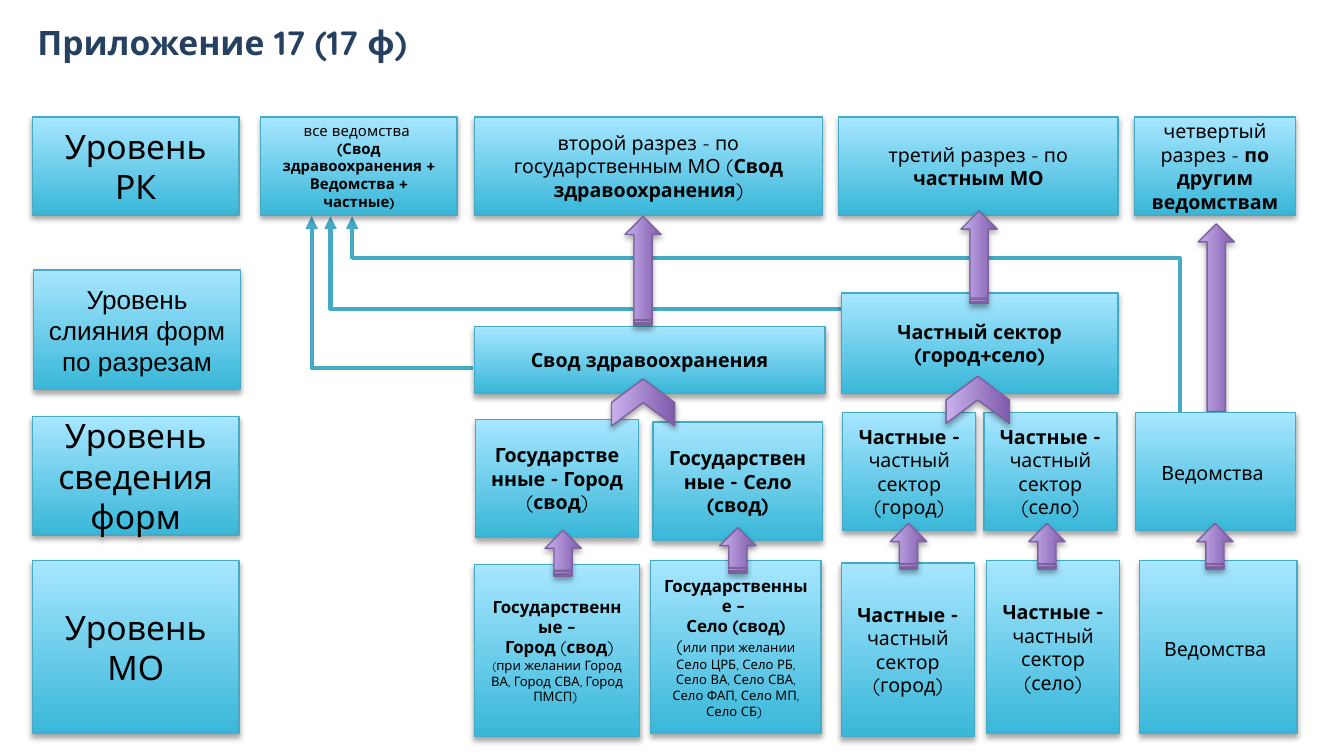
import pptx
import pptx.util
import pptx.dml.color
import pptx.enum.shapes
import pptx.enum.text
import pptx.oxml
import pptx.oxml.ns
import lxml.etree

Inches = pptx.util.Inches
Pt = pptx.util.Pt
Kind = pptx.enum.shapes.MSO_SHAPE
Link = pptx.enum.shapes.MSO_CONNECTOR
Align = pptx.enum.text.PP_ALIGN
qn = pptx.oxml.ns.qn


def tint(code):
    return pptx.dml.color.RGBColor.from_string(code)


def write(shape, text, size=10.5, font="Quicksand", color="000000", align=Align.CENTER):
    """Write a string, or paragraphs as lists of (text, size); *stars* mark bold."""
    frame = shape.text_frame
    frame.word_wrap = True
    frame.vertical_anchor = pptx.enum.text.MSO_ANCHOR.MIDDLE
    paras = [[(text, size)]] if isinstance(text, str) else text
    for i, parts in enumerate(paras):
        para = frame.paragraphs[0] if i == 0 else frame.add_paragraph()
        para.alignment = align
        for marked, pts in parts:
            for j, piece in enumerate(marked.split("*")):
                if piece:
                    run = para.add_run()
                    run.text = piece
                    run.font.size = Pt(pts)
                    run.font.name = font
                    run.font.bold = j % 2 == 1
                    run.font.color.rgb = tint(color)


deck = pptx.Presentation()
deck.slide_width = Inches(10)
deck.slide_height = Inches(10 * 9 / 16)
slide = deck.slides.add_slide(deck.slide_layouts[6])
shapes = slide.shapes

title = shapes.add_textbox(Inches(0.18), Inches(0.05), Inches(6.71), Inches(0.53))
write(title, "*Приложение 17 (17 ф)*", size=18, color="254061", align=Align.LEFT)

# Links to the summary of all departments: start, end, bent, arrowhead
links = [
    (6.26, 2.3, 2.46, 1.61, True, True),
    (2.62, 1.92, 8.78, 3.1, True, False),
    (2.62, 1.93, 2.62, 1.61, False, True),
    (3.52, 2.74, 2.32, 1.61, True, True),
]
for x1, y1, x2, y2, bent, head in links:
    link = shapes.add_connector(Link.ELBOW if bent else Link.STRAIGHT,
                                Inches(x1), Inches(y1), Inches(x2), Inches(y2))
    link.line.color.rgb = tint("46AAC5")
    link.line.width = Pt(2.25)
    props = link._element.spPr
    if bent:
        guides = props.find(qn("a:prstGeom")).get_or_add_avLst()
        lxml.etree.SubElement(guides, qn("a:gd"), name="adj1", fmla="val 100000")
    if head:
        lxml.etree.SubElement(props.find(qn("a:ln")), qn("a:tailEnd"), type="triangle")
    lxml.etree.SubElement(props, qn("a:effectLst"))

city = "*Частные - *частный сектор (город)"
rural = "*Частные - *частный сектор (село)"
office = [[("Ведомства", 10.5), (" ", 12)]]
all_text = [[("все ведомства ", 8)],
            [("*(Свод здравоохранения + Ведомства + частные*", 8), ("*)*", 7)]]
city_text = [[("*Государственные –*", 9)],
             [("* Город* (*свод*)", 9)],
             [("(", 6), ("при желании Город ВА, Город СВА, Город ПМСП) ", 7)]]
rural_text = [[("*Государственные – *", 9)],
              [("*Село (свод)*", 9)],
              [("(", 9), ("или при желании Село ЦРБ, Село РБ, Село ВА, "
                          "Село СВА, Село ФАП, Село МП, Село СБ) ", 7)]]
big = {"size": 18}

# Boxes: left, top, width, height, text, format
boxes = [
    (0.24, 0.87, 1.54, 0.73, "Уровень РК", big),
    (1.94, 0.87, 1.46, 0.73, all_text, {}),
    (3.53, 0.87, 2.59, 0.73,
     "второй разрез - по государственным МО (*Свод здравоохранения*)", {}),
    (6.24, 0.87, 2.08, 0.73, "третий разрез - по *частным МО*", {}),
    (8.44, 0.87, 1.2, 0.73, "четвертый разрез - *по другим ведомствам*", {}),
    (0.25, 2.01, 1.54, 0.89, "Уровень слияния форм по разрезам",
     {"size": 14, "font": "Arial"}),
    (3.53, 2.43, 2.61, 0.5, "*Свод здравоохранения*", {}),
    (6.26, 2.18, 2.06, 0.75, "*Частный сектор (город+село)*", {}),
    (0.24, 3.1, 1.54, 0.88, "Уровень сведения форм", big),
    (3.54, 3.12, 1.21, 0.88, "*Государственные - Город* (*свод*)", {}),
    (4.86, 3.14, 1.26, 0.88, "*Государственные - Село (свод)*", {}),
    (6.27, 3.07, 0.99, 0.88, city, {}),
    (7.32, 3.07, 0.99, 0.88, rural, {}),
    (8.45, 3.07, 1.19, 0.88, office, {}),
    (0.24, 4.17, 1.54, 1.29, "Уровень МО", big),
    (3.53, 4.2, 1.23, 1.28, city_text, {}),
    (4.84, 4.17, 1.27, 1.29, rural_text, {}),
    (6.26, 4.19, 0.99, 1.29, city, {}),
    (7.34, 4.17, 0.99, 1.29, rural, {}),
    (8.48, 4.17, 1.17, 1.29, office, {}),
]

# Upward arrows before their quarter turn: left, top, length
tall = (8.33, 2.25, 1.44)
arrows = [(4.02, 3.98, 0.34), (5.32, 3.96, 0.34), (6.59, 3.93, 0.34),
          (7.62, 3.93, 0.34), (8.87, 3.93, 0.34),
          (4.38, 1.88, 0.81), (6.94, 1.78, 0.69)]
peaks = [(4.61, 2.76, 0.35), (7.1, 2.74, 0.35)]

# The tall arrow comes first, so that its foot lies behind a box
striped = Kind.STRIPED_RIGHT_ARROW
items = [(striped, *tall, 0.27, "", {})]
items += [(Kind.RECTANGLE, *box) for box in boxes]
items += [(Kind.CHEVRON, *peak, 0.47, "", {}) for peak in peaks]
items += [(striped, *arrow, 0.27, "", {}) for arrow in arrows]

for kind, left, top, width, height, text, style in items:
    shape = shapes.add_shape(kind, Inches(left), Inches(top), Inches(width), Inches(height))
    if kind == Kind.RECTANGLE:
        dark, light, edge = "39B7D8", "A7E6FF", "46AAC5"
        write(shape, text, **style)
    else:
        dark, light, edge = "7F5BAB", "C8B0ED", "7D60A0"
        shape.rotation = 270
    shape.fill.gradient()
    shape.fill.gradient_angle = 90
    for stop, code in zip(shape.fill.gradient_stops, (dark, light)):
        stop.color.rgb = tint(code)
    shape.line.color.rgb = tint(edge)
    shape.line.width = Pt(0.75)
    shape.shadow.inherit = False
    effects = shape._element.spPr.find(qn("a:effectLst"))
    shade = lxml.etree.SubElement(effects, qn("a:outerShdw"), blurRad=str(Pt(3.1)),
                                  dist=str(Pt(1.8)), dir="5400000", rotWithShape="0")
    black = lxml.etree.SubElement(shade, qn("a:srgbClr"), val="000000")
    lxml.etree.SubElement(black, qn("a:alpha"), val="35000")

deck.save("out.pptx")
